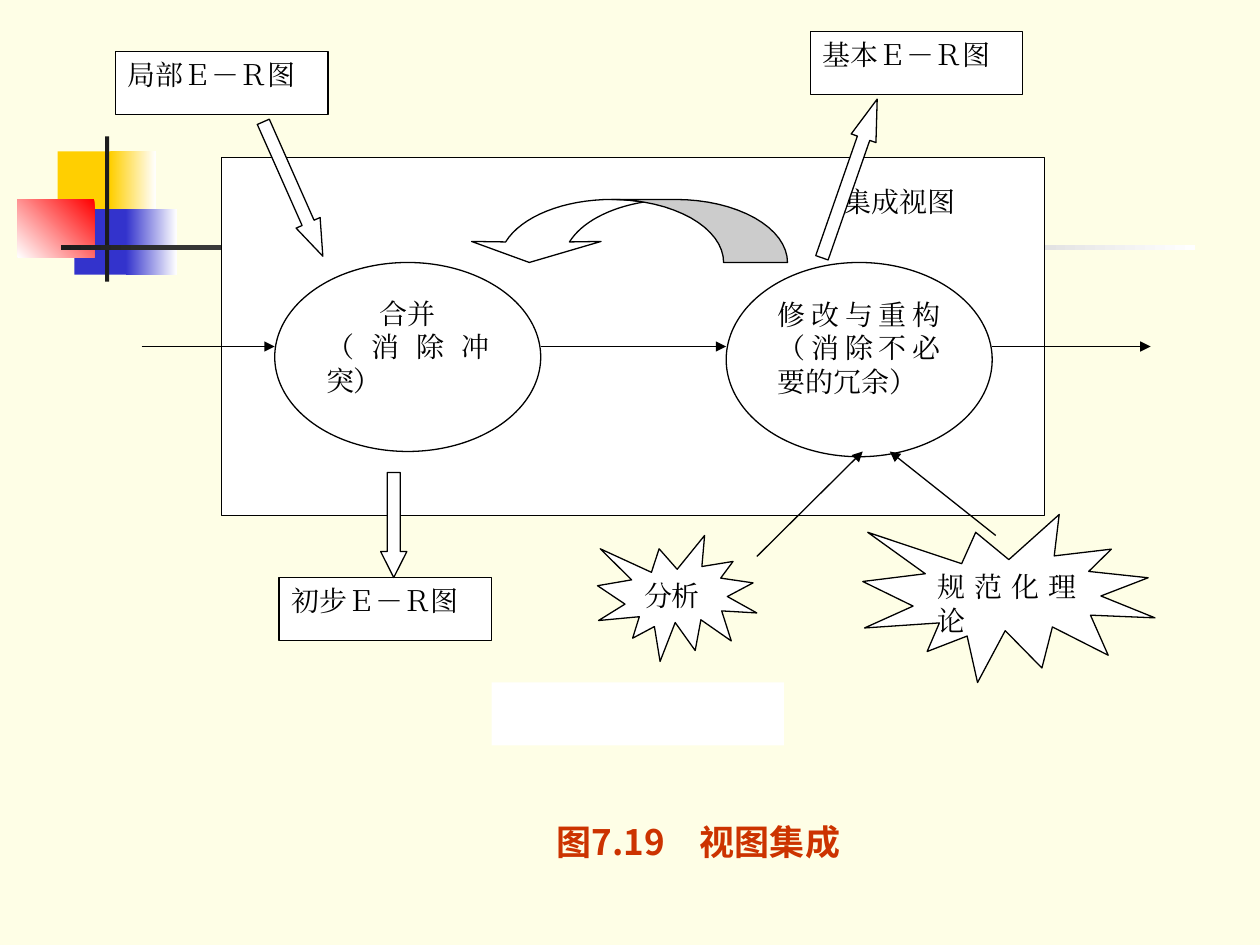
import math

import pptx
import pptx.dml.color
import pptx.enum.shapes
import pptx.enum.text
import pptx.oxml
import pptx.oxml.ns
import pptx.util

Pt = pptx.util.Pt
RGBColor = pptx.dml.color.RGBColor
MSO = pptx.enum.shapes.MSO_SHAPE
ALIGN = pptx.enum.text.PP_ALIGN
ANCHOR = pptx.enum.text.MSO_ANCHOR

CREAM = RGBColor(0xFE, 0xFE, 0xE6)
WHITE = RGBColor(0xFF, 0xFF, 0xFF)
BLACK = RGBColor(0, 0, 0)
GREY = RGBColor(0xCC, 0xCC, 0xCC)
CHARCOAL = RGBColor(0x1C, 0x1C, 0x1C)
YELLOW = RGBColor(0xFF, 0xCF, 0x01)
BLUE = RGBColor(0x33, 0x33, 0xCC)
RED = RGBColor(0xFF, 0, 0)
RUST = RGBColor(0xCC, 0x33, 0)

LABEL = {"name": "Times New Roman", "size": Pt(16), "bold": False}
CAPTION = {"name": "Noto Sans CJK KR", "size": Pt(20), "bold": True}


def add_xml(parent, tag, **attrs):
    el = pptx.oxml.parse_xml(f"<a:{tag} {pptx.oxml.ns.nsdecls('a')}/>")
    for key, value in attrs.items():
        el.set(key, value)
    parent.append(el)


def arc(cx, cy, rx, ry, start, stop, steps=16):
    """Points of an ellipse arc; angles in degrees, counterclockwise from the right."""
    angles = [math.radians(start + (stop - start) * i / steps) for i in range(steps + 1)]
    return [(cx + rx * math.cos(t), cy - ry * math.sin(t)) for t in angles]


class Diagram:
    def __init__(self, slide, line_width=0.75):
        self.s = slide
        self.line_width = Pt(line_width)

    def finish(self, sp, fill, outlined):
        sp.shadow.inherit = False
        sp.fill.solid()
        sp.fill.fore_color.rgb = fill
        if outlined:
            sp.line.color.rgb = BLACK
            sp.line.width = self.line_width
        else:
            sp.line.fill.background()

    def add_text(self, p, text, style, color, align):
        p.alignment = align
        r = p.add_run()
        r.text = text
        for key, value in style.items():
            setattr(r.font, key, value)
        r.font.color.rgb = color
        add_xml(r._r.get_or_add_rPr(), "ea", typeface=style["name"])

    def shape(self, kind, box, lines=(), fill=WHITE, outlined=True, adj=(), rot=0):
        """Preset shape; lines holds (text, alignment) pairs."""
        sp = self.s.shapes.add_shape(kind, *map(Pt, box))
        self.finish(sp, fill, outlined)
        sp.rotation = rot
        for i, value in enumerate(adj):
            sp.adjustments[i] = value
        tf = sp.text_frame
        tf.vertical_anchor = ANCHOR.TOP
        for i, (text, align) in enumerate(lines):
            p = tf.add_paragraph() if i else tf.paragraphs[0]
            self.add_text(p, text, LABEL, BLACK, align)
        return sp

    def fade(self, box, start, stop, angle=0):
        sp = self.shape(MSO.RECTANGLE, box, outlined=False)
        sp.fill.gradient()
        sp.fill.gradient_angle = angle
        for gs, color in zip(sp.fill.gradient_stops, (start, stop)):
            gs.color.rgb = color

    def outline(self, points, fill):
        pts = [(Pt(x), Pt(y)) for x, y in points]
        builder = self.s.shapes.build_freeform(*pts[0])
        builder.add_line_segments(pts[1:], close=True)
        self.finish(builder.convert_to_shape(), fill, True)

    def arrow(self, *ends):
        cn = self.s.shapes.add_connector(
            pptx.enum.shapes.MSO_CONNECTOR.STRAIGHT, *map(Pt, ends))
        cn.line.color.rgb = BLACK
        cn.line.width = self.line_width
        spPr = cn._element.spPr
        add_xml(spPr.find(pptx.oxml.ns.qn("a:ln")), "tailEnd", type="triangle")
        add_xml(spPr, "effectLst")

    def caption(self, text, box):
        sp = self.s.placeholders[1]
        sp.left, sp.top, sp.width, sp.height = map(Pt, box)
        tf = sp.text_frame
        tf.auto_size = pptx.enum.text.MSO_AUTO_SIZE.NONE
        tf.vertical_anchor = ANCHOR.TOP
        p = tf.paragraphs[0]
        p.space_before = Pt(0)
        pPr = p._p.get_or_add_pPr()
        pPr.set("marL", "0")
        pPr.set("indent", "0")
        add_xml(pPr, "buNone")
        self.add_text(p, text, CAPTION, RUST, ALIGN.CENTER)


def draw_ornament(d):
    for x, y, w, fade_x, fade_w, color in ((33, 86.5, 34.5, 63, 26, YELLOW),
                                           (42.5, 119.5, 33, 72, 29, BLUE)):
        d.shape(MSO.RECTANGLE, (x, y, w, 37.5), fill=color, outlined=False)
        d.fade((fade_x, y, fade_w, 37.5), color, WHITE)
    d.fade((10, 114, 44, 33), RED, WHITE, 225)
    d.shape(MSO.RECTANGLE, (60, 78, 2.4, 83), fill=CHARCOAL, outlined=False)
    d.fade((34.8, 140.2, 648, 2.4), CHARCOAL, WHITE)


def draw_return_arrow(d):
    """Bent band between two equal ellipses, running from right to left."""
    left, right = (349.5, 150, 64, 36), (386, 150, 64, 36)
    head = [(269.5, 138), (302.5, 150), (343.5, 138)]
    d.outline(arc(*left, 90, 161) + head + arc(*right, 161, 107) + arc(*left, 73, 90), WHITE)
    d.outline(arc(*right, 0, 90) + arc(*left, 90, 0), GREY)


def main():
    prs = pptx.Presentation()
    prs.slide_width, prs.slide_height = Pt(720), Pt(540)
    s = prs.slides.add_slide(prs.slide_layouts[1])
    s.background.fill.solid()
    s.background.fill.fore_color.rgb = CREAM
    title = s.shapes.title._element
    title.getparent().remove(title)

    d = Diagram(s)
    draw_ornament(d)
    d.caption("图7.19　视图集成", (93, 465, 612, 43))

    d.shape(MSO.RECTANGLE, (126.5, 90, 470.5, 204.5))
    d.shape(MSO.RECTANGLE, (475, 102, 91, 36), [("集成视图", ALIGN.JUSTIFY)], outlined=False)
    for text, x, y in (("局部Ｅ－Ｒ图", 66, 29.5), ("基本Ｅ－Ｒ图", 463, 18),
                       ("初步Ｅ－Ｒ图", 159.5, 330)):
        d.shape(MSO.RECTANGLE, (x, y, 121.5, 36), [(text, ALIGN.JUSTIFY)])
    d.shape(MSO.OVAL, (157, 150, 152, 108),
            [("合并", ALIGN.CENTER), ("（消除冲突）", ALIGN.JUSTIFY)])
    d.shape(MSO.OVAL, (415, 150, 152, 111),
            [("修改与重构（消除不必要的冗余）", ALIGN.JUSTIFY)])
    for text, box in (("分析", (341.5, 306, 91, 72)),
                      ("规范化理论", (493, 294, 167, 96))):
        d.shape(MSO.EXPLOSION1, box, [(text, ALIGN.JUSTIFY)])
    draw_return_arrow(d)

    for x1, x2 in ((81, 157), (309, 415), (567, 657.5)):
        d.arrow(x1, 198, x2, 198)
    d.arrow(432.5, 318, 493, 258)
    d.arrow(569, 306, 508.5, 258)

    for kind, box, length, rot in (
            (MSO.DOWN_ARROW, (217.5, 270, 15, 60), 0.99, 0),
            (MSO.UP_ARROW, (478, 54, 15, 96), 1.58, 19.2),
            (MSO.DOWN_ARROW, (160, 66, 15, 84), 1.39, 336.1)):
        d.shape(kind, box, adj=(0.5, length), rot=rot)
    d.shape(MSO.RECTANGLE, (281, 390, 167, 36), outlined=False)

    prs.save("out.pptx")


if __name__ == "__main__":
    main()
